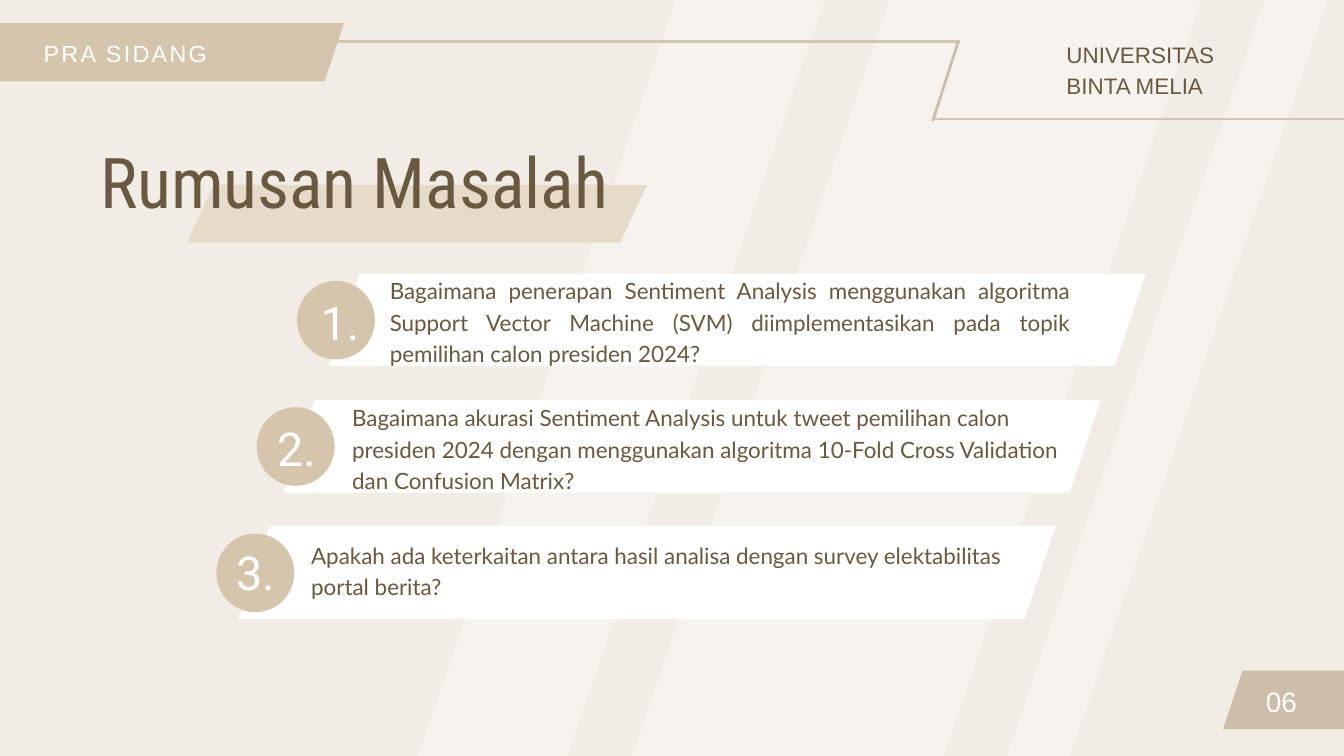
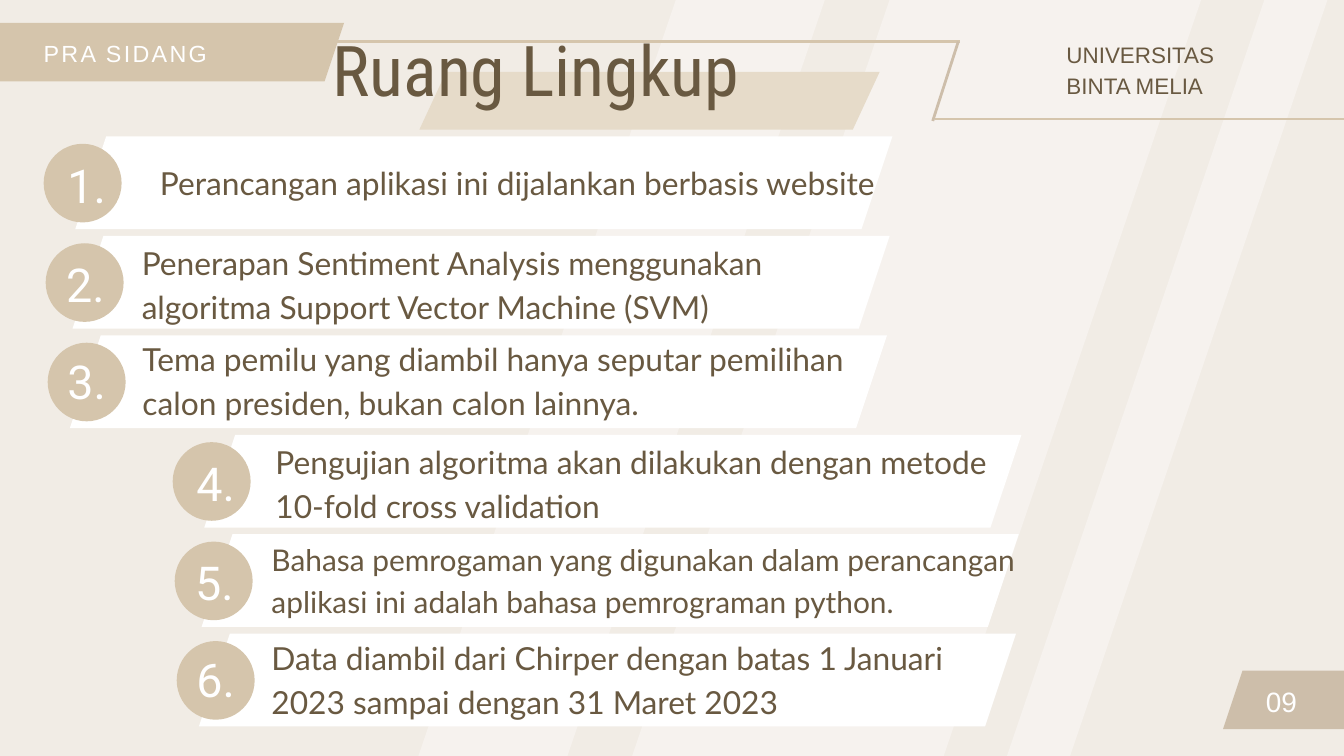
import dataclasses

import pptx
import pptx.dml.color
import pptx.enum.shapes
import pptx.enum.text
import pptx.oxml.ns
import pptx.util
from lxml import etree

Inches = pptx.util.Inches
Pt = pptx.util.Pt
SHAPE = pptx.enum.shapes.MSO_SHAPE
ALIGN = pptx.enum.text.PP_ALIGN


@dataclasses.dataclass(frozen=True)
class Theme:
    paper: str = "F1ECE5"
    stripe: str = "F6F2EE"
    highlight: str = "E6DBC9"
    sand: str = "D5C5AC"
    dark_sand: str = "CDBEAA"
    white: str = "FFFFFF"
    brown: str = "695941"
    title_font: str = "Roboto Condensed"
    number_font: str = "Roboto"
    body_font: str = "Lato"
    label_font: str = "Arial"
    title_size: int = 75
    number_size: int = 50
    page_size: int = 30
    section_size: int = 25
    school_size: int = 24
    leading: float = 1.4


THEME = Theme()


@dataclasses.dataclass(frozen=True)
class Statement:
    text: str
    dx: float  # text offset from the bar's corner
    dy: float
    width: float
    size: int
    lines: int = 2
    align: ALIGN = ALIGN.LEFT


# Shared building blocks
def rgb(color):
    return pptx.dml.color.RGBColor.from_string(color)


def add_filled(slide, kind, box, color):
    shape = slide.shapes.add_shape(kind, *map(Inches, box))
    shape.shadow.inherit = False
    shape.fill.solid()
    shape.fill.fore_color.rgb = rgb(color)
    shape.line.fill.background()
    return shape


def add_slanted(slide, box, slant, color):
    bar = add_filled(slide, SHAPE.PARALLELOGRAM, box, color)
    bar.adjustments[0] = slant / min(box[2:])


def add_rule(slide, start, end, color):
    rule = slide.shapes.add_connector(
        pptx.enum.shapes.MSO_CONNECTOR.STRAIGHT, *map(Inches, start + end))
    rule.line.color.rgb = rgb(color)
    rule.line.width = Pt(3)
    properties = rule.element.find(pptx.oxml.ns.qn("p:spPr"))
    etree.SubElement(properties, pptx.oxml.ns.qn("a:effectLst"))


def write(frame, text, font, size, color, align=ALIGN.LEFT):
    frame.margin_left = frame.margin_right = 0
    frame.margin_top = frame.margin_bottom = 0
    frame.word_wrap = True
    frame.auto_size = pptx.enum.text.MSO_AUTO_SIZE.SHAPE_TO_FIT_TEXT
    frame.vertical_anchor = pptx.enum.text.MSO_ANCHOR.TOP
    frame.text = text
    for paragraph in frame.paragraphs:
        paragraph.alignment = align
        paragraph.line_spacing = Pt(round(size * THEME.leading, 1))
        paragraph.font.name = font
        paragraph.font.size = Pt(size)
        paragraph.font.color.rgb = rgb(color)


def add_text(slide, box, *style):
    frame = slide.shapes.add_textbox(*map(Inches, box)).text_frame
    write(frame, *style)
    return frame


# Regions
def add_backdrop(slide):
    for box in ((8.17, -1.07, 2.1, 13.57),
                (11.45, -1.51, 4.39, 14.24),
                (16.96, -1.49, 0.89, 14.02)):
        add_filled(slide, SHAPE.RECTANGLE, box, THEME.stripe).rotation = 18.8


def add_title(slide, left, top, text):
    add_slanted(slide, (left + 1.29, top + 0.89, 6.85, 0.86), 0.4,
                THEME.highlight)
    title = slide.shapes.title
    title.left, title.top = Inches(left), Inches(top)
    title.width, title.height = Inches(9.48), Inches(1.41)
    write(title.text_frame, text, THEME.title_font, THEME.title_size,
          THEME.brown)
    # Bring the title in front of its highlight
    title.element.getparent().append(title.element)


def add_section_tab(slide, left, top):
    add_slanted(slide, (left, top, 5.75, 0.87), 0.29, THEME.sand)
    section = add_text(slide, (left + 1.28, top + 0.17, 5.24, 0.47),
                       "PRA SIDANG", THEME.label_font, THEME.section_size,
                       THEME.white)
    for run in section.paragraphs[0].runs:
        run.font._element.set("spc", "250")


def add_school_frame(slide, left, top):
    bottom = top + 1.15
    add_rule(slide, (left - 9.02, top), (left + 0.4, top), THEME.sand)
    add_rule(slide, (left + 0.03, bottom), (left + 6.5, bottom), THEME.sand)
    add_rule(slide, (left, bottom + 0.03), (left + 0.38, top),
             THEME.dark_sand)
    add_text(slide, (left + 1.99, top - 0.08, 3.75, 0.9),
             "UNIVERSITAS\nBINTA MELIA", THEME.label_font,
             THEME.school_size, THEME.brown, ALIGN.JUSTIFY)


def add_page_tab(slide, left, top, number):
    add_slanted(slide, (left, top, 2.58, 0.87), 0.29, THEME.dark_sand)
    add_text(slide, (left - 0.37, top + 0.12, 1.47, 0.57), number,
             THEME.label_font, THEME.page_size, THEME.white, ALIGN.RIGHT)


def add_statement(slide, left, top, number, statement):
    row = (number - 1) % 3
    number_dx, number_dy = ((-0.66, 0.16), (-0.64, 0.16), (-0.58, 0.12))[row]
    add_slanted(slide, (left, top, 12.16, 1.38), 0.46, THEME.white)
    add_filled(slide, SHAPE.OVAL,
               (left - 0.47 + 0.07 * row, top + 0.11, 1.16, 1.17), THEME.sand)
    add_text(slide, (left + number_dx, top + number_dy, 1.66, 0.94),
             f"{number}.", THEME.number_font, THEME.number_size, THEME.white,
             ALIGN.CENTER)
    height = statement.lines * statement.size * THEME.leading / 72
    add_text(slide, (left + statement.dx, top + statement.dy,
                     statement.width, height),
             statement.text, THEME.body_font, statement.size, THEME.brown,
             statement.align)


def add_stack(slide, left, top, step, statements, first=1):
    for row, statement in enumerate(statements):
        add_statement(slide, left + row * step[0], top + row * step[1],
                      first + row, statement)


# Slides
def add_content_slide(deck, title, title_corner, page):
    slide = deck.slides.add_slide(deck.slide_layouts[5])
    add_backdrop(slide)
    add_title(slide, *title_corner, title)
    add_page_tab(slide, 18.2, 9.98, page)
    add_section_tab(slide, -0.63, 0.34)
    add_school_frame(slide, 13.88, 0.62)
    return slide


PROBLEMS = (
    Statement("Bagaimana penerapan Sentiment Analysis menggunakan algoritma "
              "Support Vector Machine (SVM) diimplementasikan pada topik "
              "pemilihan calon presiden 2024?",
              0.91, -0.01, 10.12, 24, 3, ALIGN.JUSTIFY),
    Statement("Bagaimana akurasi Sentiment Analysis untuk tweet pemilihan "
              "calon presiden 2024 dengan menggunakan algoritma 10-Fold "
              "Cross Validation dan Confusion Matrix?",
              1.02, 0, 10.8, 24, 3),
    Statement("Apakah ada keterkaitan antara hasil analisa dengan survey "
              "elektabilitas portal berita?", 1.08, 0.17, 10.75, 24),
)

SCOPE = (
    Statement("Perancangan aplikasi ini dijalankan berbasis website",
              1.26, 0.32, 10.67, 34, 1),
    Statement("Penerapan Sentiment Analysis menggunakan algoritma Support "
              "Vector Machine (SVM)", 1.03, 0.02, 10.8, 34),
    Statement("Tema pemilu yang diambil hanya seputar pemilihan calon "
              "presiden, bukan calon lainnya.", 1.08, -0.03, 10.75, 34),
    Statement("Pengujian algoritma akan dilakukan dengan metode 10-fold "
              "cross validation", 1.06, 0.02, 10.67, 34),
    Statement("Bahasa pemrogaman yang digunakan dalam perancangan aplikasi "
              "ini adalah bahasa pemrograman python.",
              1.04, 0.02, 11.68, 32),
    Statement("Data diambil dari Chirper dengan batas 1 Januari 2023 sampai "
              "dengan 31 Maret 2023", 1.08, -0.02, 10.75, 34),
)


def main():
    deck = pptx.Presentation()
    deck.slide_width, deck.slide_height = Inches(20), Inches(11.25)
    paper = deck.slide_master.background.fill
    paper.solid()
    paper.fore_color.rgb = rgb(THEME.paper)

    problems = add_content_slide(deck, "Rumusan Masalah", (1.49, 1.86), "06")
    add_stack(problems, 4.89, 4.07, (-0.67, 1.88), PROBLEMS)

    scope = add_content_slide(deck, "Ruang Lingkup", (4.95, 0.18), "09")
    scope_step = (-0.04, 1.48)
    add_stack(scope, 1.12, 2.03, scope_step, SCOPE[:3])
    add_stack(scope, 3.04, 6.47, scope_step, SCOPE[3:], first=4)

    deck.save("out.pptx")


if __name__ == "__main__":
    main()
